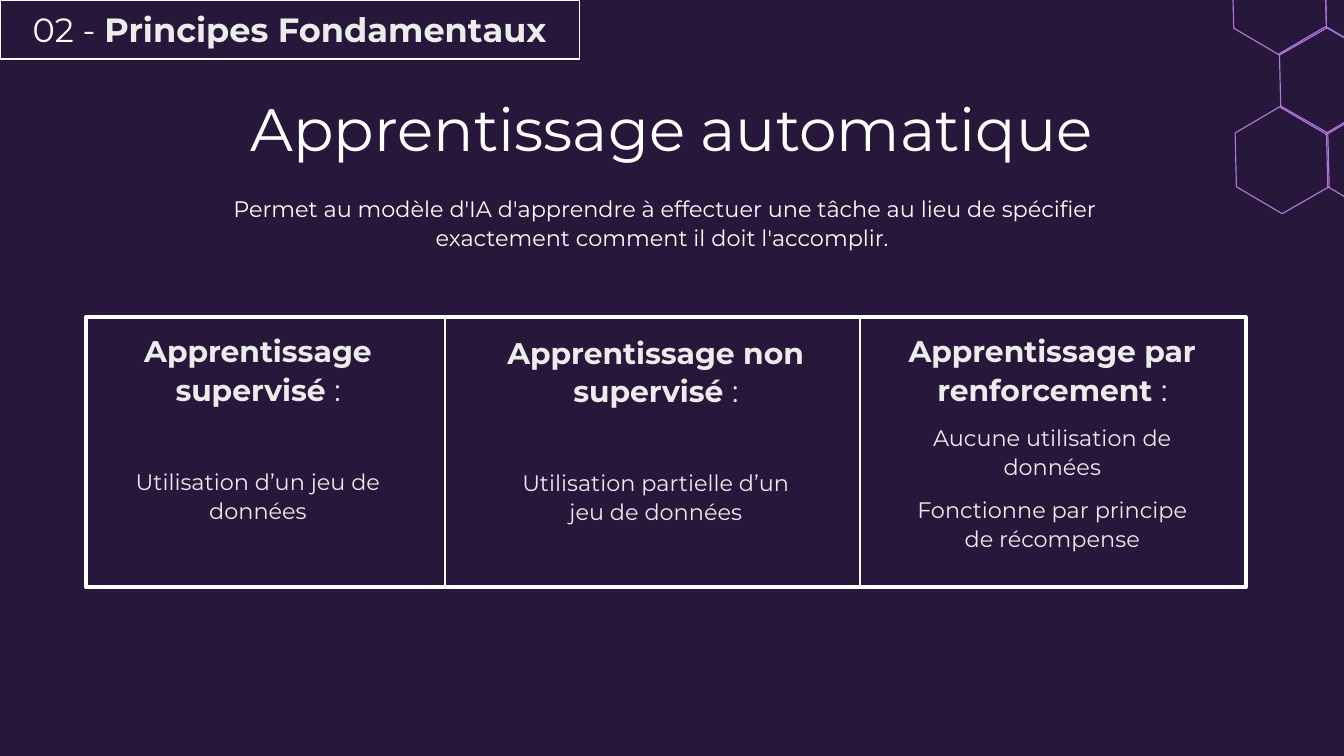
from dataclasses import dataclass

from lxml.etree import SubElement
from pptx import Presentation
from pptx.dml.color import RGBColor
from pptx.enum.shapes import MSO_CONNECTOR, MSO_SHAPE
from pptx.enum.text import MSO_ANCHOR, PP_ALIGN
from pptx.oxml.ns import qn
from pptx.util import Inches, Pt


@dataclass(frozen=True)
class Theme:
    font: str = "Montserrat"
    background: str = "27173A"
    white: str = "FFFFFF"
    soft: str = "ECECEC"
    divider: str = "F9F9F9"
    hexagon: str = "AE77D6"
    title: float = 32
    section: float = 18
    heading: float = 16
    body: float = 12


THEME = Theme()


@dataclass(frozen=True)
class Span:
    text: str
    size: float
    color: str
    bold: bool = False


@dataclass(frozen=True)
class Column:
    left: float
    top: float
    heading: str
    lines: tuple[str, ...]
    gap: float = 0  # points above the first line


COLUMNS = (
    Column(0.19, 2.36, "Apprentissage supervisé ",
           ("Utilisation d’un jeu de données",), 23.6),
    Column(3.15, 2.37, "Apprentissage non supervisé ",
           ("Utilisation partielle d’un jeu de données",), 23.6),
    Column(6.1, 2.36, "Apprentissage par renforcement ",
           ("Aucune utilisation de données",
            "Fonctionne par principe de récompense")),
)

HEXAGON_CENTERS = ((9.54, 1.19), (10.22, 1.19), (9.87, 0.6), (9.52, 0.01), (10.21, 0))
HEXAGON_CORNERS = ((0.34, -0.2), (0.35, 0.2), (0, 0.4),
                   (-0.34, 0.2), (-0.35, -0.2), (-0.01, -0.4))


def set_line(shape, color: str, width: float) -> None:
    shape.line.color.rgb = RGBColor.from_string(color)
    shape.line.width = Pt(width)


def outline(shape, color: str, width: float) -> None:
    shape.shadow.inherit = False
    shape.fill.background()
    set_line(shape, color, width)


def add_hexagon(page, x: float, y: float) -> None:
    corners = [(Inches(x + dx), Inches(y + dy)) for dx, dy in HEXAGON_CORNERS]
    builder = page.shapes.build_freeform(*corners[0])
    builder.add_line_segments(corners[1:], close=True)
    outline(builder.convert_to_shape(), THEME.hexagon, 0.61)


def add_frame(page, left: float, top: float, width: float, height: float, line: float):
    box = page.shapes.add_shape(MSO_SHAPE.RECTANGLE, Inches(left), Inches(top),
                                Inches(width), Inches(height))
    outline(box, THEME.white, line)
    return box


def add_divider(page, x: float, top: float, bottom: float) -> None:
    line = page.shapes.add_connector(MSO_CONNECTOR.STRAIGHT, Inches(x), Inches(top),
                                     Inches(x), Inches(bottom))
    set_line(line, THEME.divider, 0.75)
    SubElement(line._element.spPr, qn("a:effectLst"))


def fill_text(box, paragraphs: list[list[Span]], body_style: bool = False,
              gap: float = 0) -> None:
    frame = box.text_frame
    frame.word_wrap = True
    frame.margin_left = frame.margin_right = Inches(0.1)
    frame.margin_top = frame.margin_bottom = Inches(0.1)
    for index, spans in enumerate(paragraphs):
        para = frame.add_paragraph() if index else frame.paragraphs[0]
        para.alignment = PP_ALIGN.CENTER
        if body_style:
            properties = para._p.get_or_add_pPr()
            properties.set("marL", str(Inches(0.5)))
            properties.set("indent", "0")
            para.line_spacing = 1.07
            para.space_after = Pt(8)
        if gap and index == 1:
            para.space_before = Pt(gap)
        for span in spans:
            run = para.add_run()
            run.text = span.text
            run.font.name = THEME.font
            run.font.size = Pt(span.size)
            run.font.bold = span.bold
            run.font.color.rgb = RGBColor.from_string(span.color)


def add_text(page, left: float, top: float, width: float, height: float,
             paragraphs: list[list[Span]], body_style: bool = False,
             gap: float = 0) -> None:
    box = page.shapes.add_textbox(Inches(left), Inches(top), Inches(width), Inches(height))
    fill_text(box, paragraphs, body_style, gap)


def add_column(page, column: Column) -> None:
    heading = [Span(column.heading, THEME.heading, THEME.soft, True),
               Span(":", THEME.heading, THEME.soft)]
    body = [[Span(line, THEME.body, THEME.soft)] for line in column.lines]
    add_text(page, column.left, column.top, 2.96, 2.48, [heading, *body], True, column.gap)


def main() -> None:
    # Widescreen page, 16 to 9
    deck = Presentation()
    deck.slide_width = Inches(10)
    deck.slide_height = Inches(10 * 9 / 16)
    page = deck.slides.add_slide(deck.slide_layouts[6])
    page.background.fill.solid()
    page.background.fill.fore_color.rgb = RGBColor.from_string(THEME.background)

    # Honeycomb in the corner
    for x, y in HEXAGON_CENTERS:
        add_hexagon(page, x, y)

    # Section label
    label = add_frame(page, 0, 0, 4.31, 0.44, 0.75)
    label.text_frame.vertical_anchor = MSO_ANCHOR.MIDDLE
    fill_text(label, [[Span("02 - ", THEME.section, THEME.white),
                       Span("Principes Fondamentaux", THEME.section, THEME.soft, True)]])

    # Title and definition
    add_text(page, 1.01, 0.58, 7.98, 0.77,
             [[Span("Apprentissage automatique", THEME.title, THEME.white)]])
    add_text(page, 1.01, 1.34, 7.38, 0.61,
             [[Span("Permet au modèle d'IA d'apprendre à effectuer une tâche au lieu de "
                    "spécifier exactement comment il doit l'accomplir. ",
                    THEME.body, THEME.white)]], True)

    # Three kinds of learning, framed and divided
    for column in COLUMNS:
        add_column(page, column)
    add_frame(page, 0.64, 2.36, 8.63, 2.01, 2)
    for x in (3.31, 6.4):
        add_divider(page, x, 2.36, 4.38)

    deck.save("out.pptx")


if __name__ == "__main__":
    main()
